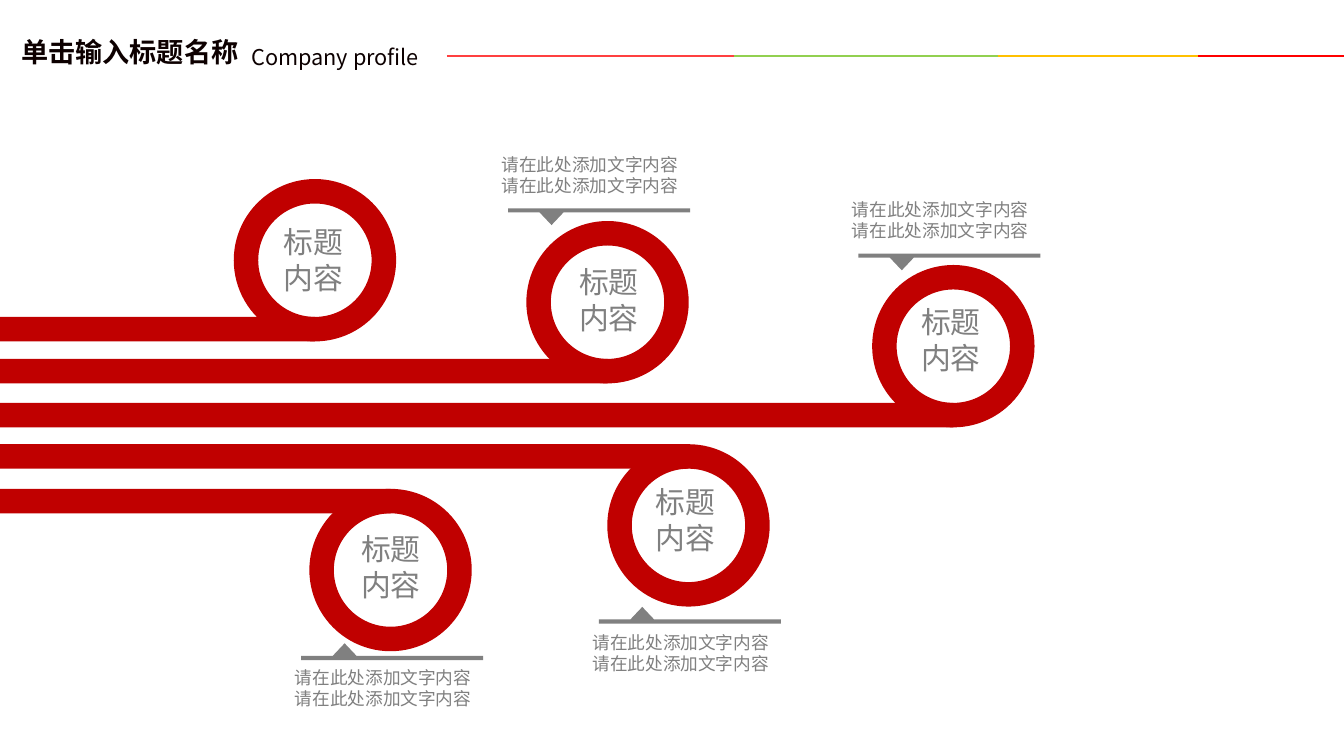
from dataclasses import dataclass

from lxml import etree
from pptx import Presentation
from pptx.dml.color import RGBColor
from pptx.enum.shapes import MSO_CONNECTOR, MSO_SHAPE
from pptx.oxml.ns import qn
from pptx.util import Pt

RECT, DONUT = MSO_SHAPE.RECTANGLE, MSO_SHAPE.DONUT
STRAIGHT = MSO_CONNECTOR.STRAIGHT

RED, GREY, INK = "C00000", "808080", "0D0000"
CJK = "Noto Sans CJK SC"
DIAMETER, BAND = 116, 17.5
CAPTION = "请在此处添加文字内容" * 2

LABEL = {"size": Pt(21.3), "name": CJK}
BODY = {"size": Pt(12.6), "name": "Calibri"}
TITLE = {"size": Pt(19.4), "name": CJK, "bold": True}
SUBTITLE = {"size": Pt(15.5), "name": CJK}


@dataclass
class Track:
    """A bar from the left edge that ends under or over the centre of a ring."""
    end_x: float
    bar_y: float
    ring_above: bool
    label_x: float
    label_y: float


@dataclass
class Callout:
    x: float
    y: float
    points_down: bool
    caption_y: float


@dataclass
class Rule:
    start: float
    end: float
    color: str


TRACKS = [
    Track(225, 226.4, True, 195.8, 156.2),
    Track(434, 256.4, True, 406.6, 185),
    Track(681, 287.8, True, 650.9, 213.5),
    Track(491.8, 317.3, False, 461.1, 342),
    Track(279, 349.2, False, 250.9, 375.8),
]
CALLOUTS = [
    Callout(363, 148.8, True, 106.4),
    Callout(613.2, 181.1, True, 138.4),
    Callout(427.8, 433.5, False, 447.6),
    Callout(215.2, 459.5, False, 472.6),
]
RULES = [
    Rule(319.2, 527.6, "FF4040"),
    Rule(524.2, 712.8, "92D050"),
    Rule(712.8, 859, "FFC000"),
    Rule(855.8, 960, "FF0000"),
]


def rgb(color: str) -> RGBColor:
    return RGBColor.from_string(color)


def paint(sp, color: str) -> None:
    sp.shadow.inherit = False
    sp.fill.solid()
    sp.fill.fore_color.rgb = rgb(color)
    sp.line.fill.background()


def add_text(s, box: tuple, lines: list[str], fmt: dict, color: str,
             wrap: bool = True) -> None:
    tf = s.shapes.add_textbox(*map(Pt, box)).text_frame
    tf.word_wrap = wrap
    for i, line in enumerate(lines):
        p = tf.add_paragraph() if i else tf.paragraphs[0]
        r = p.add_run()
        r.text = line
        for key, value in fmt.items():
            setattr(r.font, key, value)
        r.font.color.rgb = rgb(color)


def add_track(s, t: Track) -> None:
    bar = s.shapes.add_shape(RECT, 0, Pt(t.bar_y), Pt(t.end_x), Pt(BAND))
    paint(bar, RED)
    top = t.bar_y + BAND - DIAMETER if t.ring_above else t.bar_y
    ring = s.shapes.add_shape(DONUT, Pt(t.end_x - DIAMETER / 2), Pt(top),
                              Pt(DIAMETER), Pt(DIAMETER))
    ring.adjustments[0] = BAND / DIAMETER
    paint(ring, RED)
    add_text(s, (t.label_x, t.label_y, 57.6, 59), ["标题", "内容"], LABEL, GREY,
             wrap=False)


def add_callout(s, c: Callout) -> None:
    """Draw a thin bar with a triangular pointer, and its caption."""
    width, thick, height = 130, 3, 12
    outline = [(0, 0), (width, 0), (width, thick), (39.5, thick),
               (31, height), (22.5, thick), (0, thick)]
    points = [(Pt(c.x + x), Pt(c.y + (y if c.points_down else height - y)))
              for x, y in outline]
    builder = s.shapes.build_freeform(*points[0])
    builder.add_line_segments(points[1:], close=True)
    paint(builder.convert_to_shape(), GREY)
    add_text(s, (c.x - 11.7, c.caption_y, 149, 37.4), [CAPTION], BODY, GREY)


def add_rule(s, rule: Rule) -> None:
    y = Pt(40)
    line = s.shapes.add_connector(STRAIGHT, Pt(rule.start), y, Pt(rule.end), y)
    line.line.color.rgb = rgb(rule.color)
    line.line.width = Pt(1.5)
    etree.SubElement(line._element.spPr, qn("a:effectLst"))


def main() -> None:
    prs = Presentation()
    prs.slide_width, prs.slide_height = Pt(960), Pt(540)
    s = prs.slides.add_slide(prs.slide_layouts[6])
    for track in TRACKS:
        add_track(s, track)
    for callout in CALLOUTS:
        add_callout(s, callout)
    add_text(s, (8, 21.8, 183.6, 31), ["单击输入标题名称"], TITLE, INK)
    add_text(s, (172.5, 28, 183.6, 26), ["Company profile"], SUBTITLE, INK)
    for rule in RULES:
        add_rule(s, rule)
    prs.save("out.pptx")


if __name__ == "__main__":
    main()
